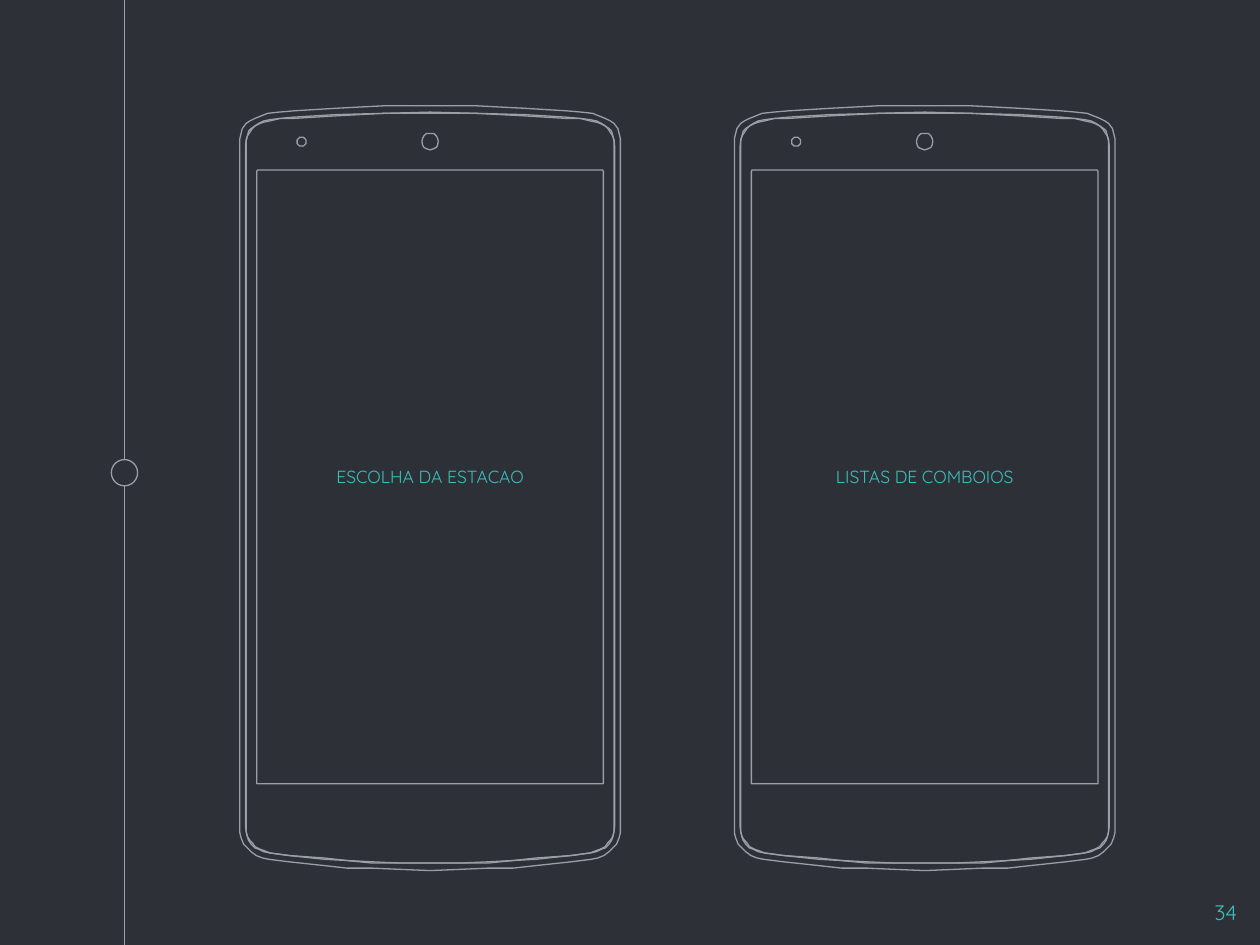
from pptx import Presentation
from pptx import util as u
from pptx.dml.color import RGBColor
from pptx.enum import shapes, text
from pptx.oxml.ns import qn
from lxml import etree

Cm = u.Cm
DARK = RGBColor(0x2E, 0x30, 0x37)
GREY = RGBColor(0x99, 0x9F, 0xA9)
TEAL = RGBColor(0x39, 0xC0, 0xBA)

# Phone outlines: the right half of each contour, top to bottom, as
# (distance from the axis, distance from the slide top) in GRID units.
GRID = Cm(0.0254)
LIGHT = [(1.5, 109), (2.5, 110), (3.5, 111), (3.5, 114), (2.5, 115), (1.5, 116)]
CAMERA = [(0, 106), (3, 106), (5, 108), (6, 110), (6.5, 112), (6, 115),
          (5, 117), (3, 118), (0, 119)]
SCREEN = [(137, 135), (137.5, 136), (137.5, 622)]
RIM_INSIDE = [
    (0, 90), (37, 90), (75, 92), (108, 94), (119, 94), (127, 96), (132, 97),
    (135, 98), (139, 100), (141, 102), (143, 105), (145, 108), (146, 112),
    (146, 116), (146, 656), (146, 660), (145, 664), (143, 667), (141, 669),
    (139, 672), (135, 674), (132, 675), (127, 677), (112, 679), (84, 681),
    (66, 683), (46, 684), (24, 685), (0, 685)]
RIM_OUTSIDE = [
    (0, 89), (37, 90), (75, 91), (108, 93), (119, 94), (127, 95), (132, 96),
    (136, 98), (139, 100), (142, 102), (144, 104), (145, 108), (146, 111),
    (146.5, 116), (146.5, 656), (146, 660), (145, 664), (144, 667), (142, 670),
    (139, 673), (136, 674), (132, 676), (127, 677), (112, 679), (84, 682),
    (66, 683), (46, 685), (24, 685), (0, 685)]
BODY = [
    (0, 84), (37, 84), (75, 86), (108, 88), (120, 89), (129, 90), (134, 92),
    (139, 94), (143, 96), (146, 98), (149, 102), (150, 106), (151, 110),
    (151, 116), (151, 656), (151, 661), (150, 665), (148, 670), (145, 673),
    (142, 676), (138, 679), (133, 681), (128, 682), (112, 684), (84, 687),
    (66, 689), (46, 689), (24, 690), (0, 691)]
LIGHT_OFFSET = -102
CONTOURS = [(LIGHT, LIGHT_OFFSET), (CAMERA, 0), (SCREEN, 0),
            (RIM_INSIDE, 0), (RIM_OUTSIDE, 0), (BODY, 0)]


def mirrored(half, axis):
    """Close a half contour by reflecting it in its vertical axis."""
    right = [(axis + x * GRID, y * GRID) for x, y in half]
    left = [(axis - x * GRID, y * GRID) for x, y in reversed(half)]
    return right + left


class Page:
    """The current slide and its style."""
    font = "Quicksand"
    line_width = u.Pt(0.75)
    inset = Cm(0.25)

    def __init__(self, deck):
        self.slide = deck.slides.add_slide(deck.slide_layouts[6])
        self.shapes = self.slide.shapes
        background = self.slide.background.fill
        background.solid()
        background.fore_color.rgb = DARK

    def stroke(self, line):
        line.color.rgb = GREY
        line.width = self.line_width

    def rule(self, x, top, bottom):
        line = self.shapes.add_connector(
            shapes.MSO_CONNECTOR.STRAIGHT, Cm(x), Cm(top), Cm(x), Cm(bottom))
        self.stroke(line.line)
        etree.SubElement(line._element.spPr, qn("a:effectLst"))

    def filled(self, kind, left, top, width, height):
        shape = self.shapes.add_shape(kind, Cm(left), Cm(top), Cm(width), Cm(height))
        shape.shadow.inherit = False
        shape.fill.solid()
        shape.fill.fore_color.rgb = DARK
        return shape

    def marker(self, x, y, size):
        circle = self.filled(shapes.MSO_SHAPE.OVAL, x - size / 2, y - size / 2, size, size)
        self.stroke(circle.line)

    def label(self, box, words, size, align, anchor):
        frame = box.text_frame
        frame.word_wrap = True
        frame.vertical_anchor = anchor
        frame.margin_left = frame.margin_right = self.inset
        frame.margin_top = frame.margin_bottom = self.inset
        para = frame.paragraphs[0]
        para.text = words
        para.alignment = align
        para.font.name = self.font
        para.font.size = u.Pt(size)
        para.font.color.rgb = TEAL

    def number(self, words, left, top, width, height):
        box = self.shapes.add_textbox(Cm(left), Cm(top), Cm(width), Cm(height))
        self.label(box, words, 12, text.PP_ALIGN.RIGHT, text.MSO_ANCHOR.TOP)

    def phone(self, centre, caption):
        width = 7.04
        screen = self.filled(shapes.MSO_SHAPE.RECTANGLE, centre - width / 2, 3.4, width, 12.42)
        screen.line.fill.background()
        self.label(screen, caption, 10, text.PP_ALIGN.CENTER, text.MSO_ANCHOR.MIDDLE)

        builder = None
        for half, offset in CONTOURS:
            start, *rest = mirrored(half, Cm(centre) + offset * GRID)
            if builder is None:
                builder = self.shapes.build_freeform(*start)
            else:
                builder.move_to(*start)
            builder.add_line_segments(rest, close=True)
        outline = builder.convert_to_shape()
        outline.shadow.inherit = False
        outline.fill.background()
        self.stroke(outline.line)


def main():
    deck = Presentation()
    deck.slide_width, deck.slide_height = Cm(25.4), Cm(19.05)
    page = Page(deck)
    page.rule(2.51, 0, 19.05)
    page.marker(2.51, 9.53, 0.53)
    first_centre, pitch = 8.67, 9.97
    for i, caption in enumerate(["ESCOLHA DA ESTACAO", "LISTAS DE COMBOIOS"]):
        page.phone(first_centre + i * pitch, caption)
    page.number("34", 23.67, 17.88, 1.52, 1.17)
    deck.save("out.pptx")


if __name__ == "__main__":
    main()
